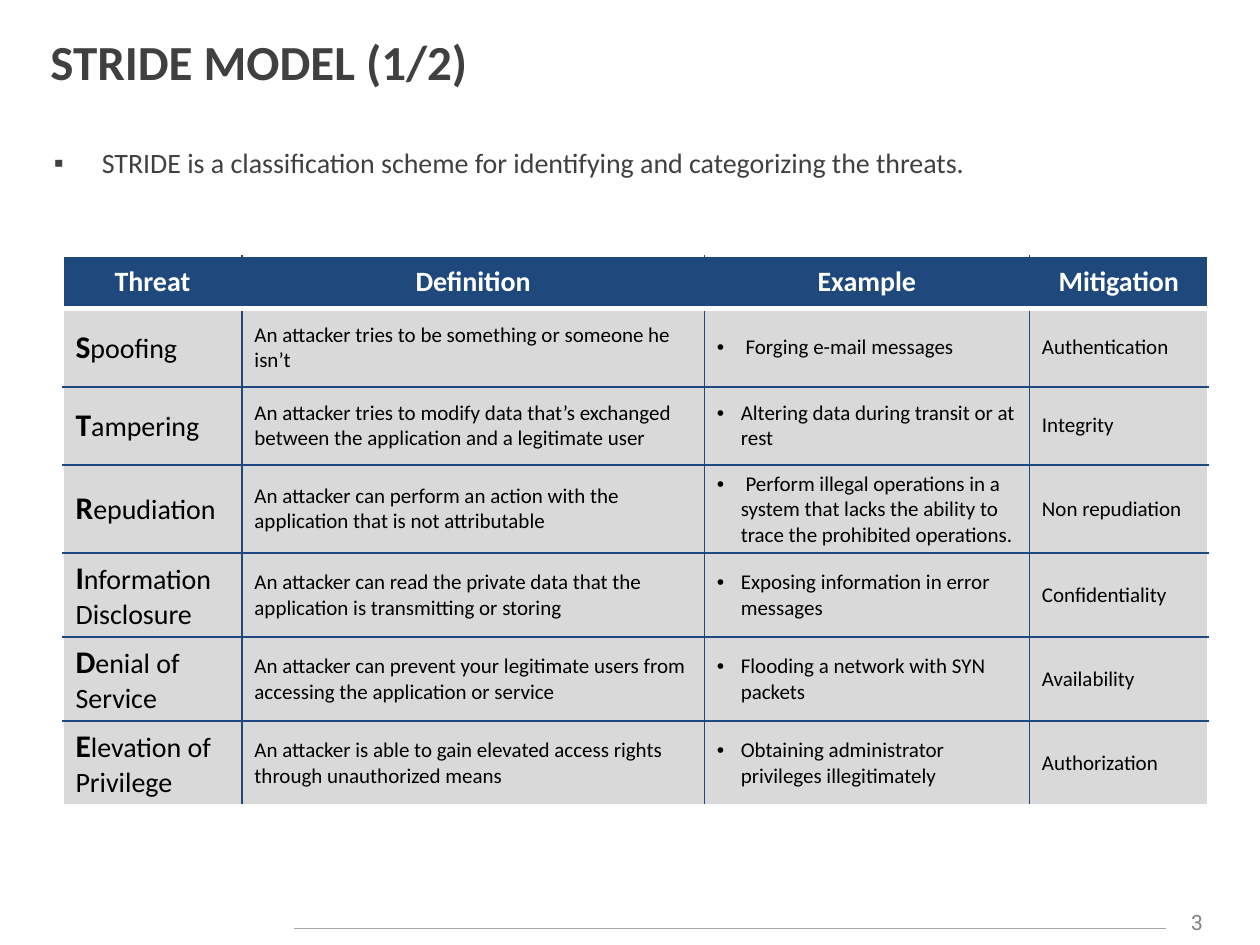
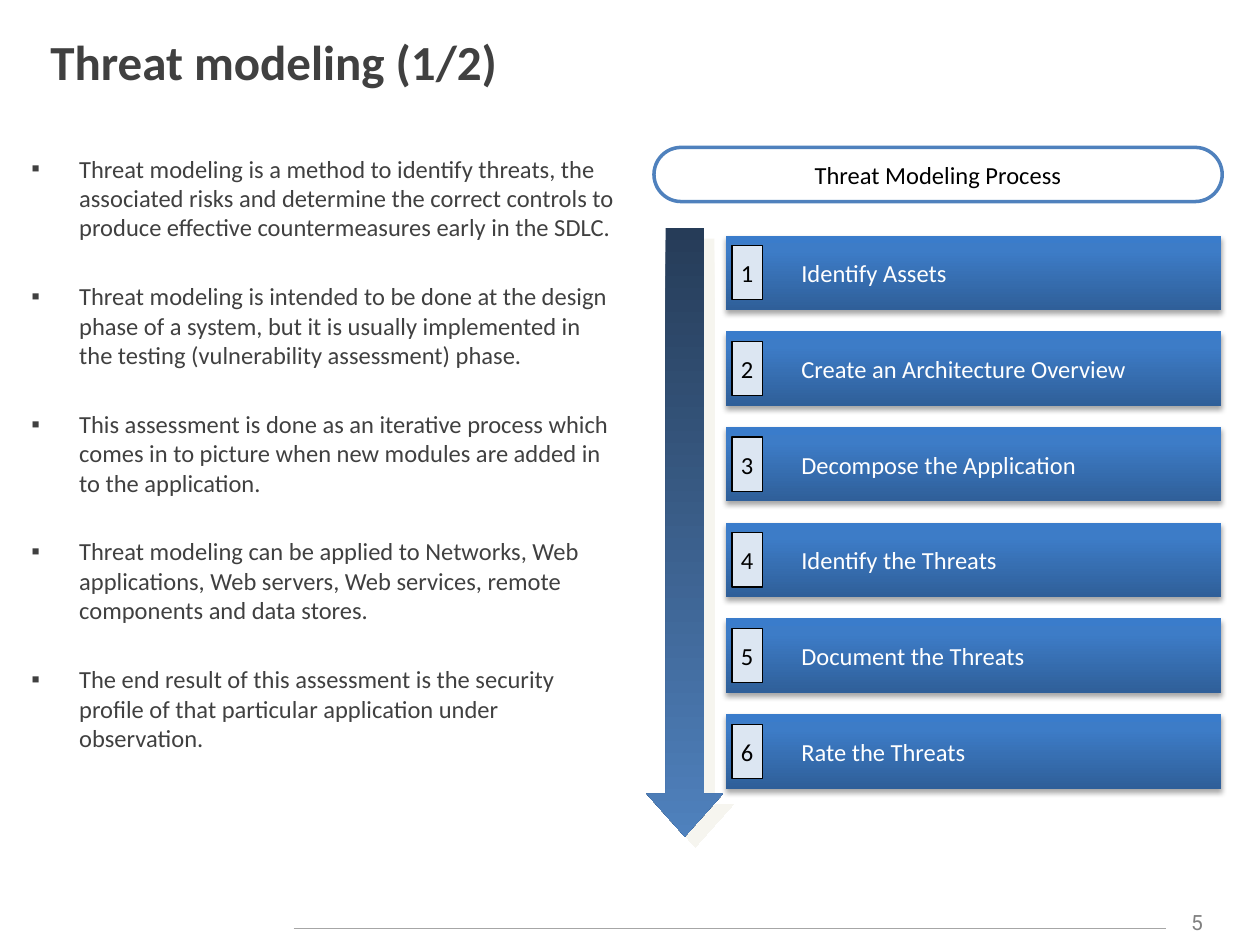
from lxml.etree import SubElement
from copy import deepcopy
from pptx import Presentation
from pptx.dml.color import RGBColor
from pptx.enum.shapes import MSO_CONNECTOR, MSO_SHAPE
from pptx.enum.text import MSO_ANCHOR, MSO_AUTO_SIZE, PP_ALIGN
from pptx.oxml import parse_xml
from pptx.oxml.ns import nsdecls, qn
from pptx.util import Inches, Pt

WIDTH, HEIGHT = Inches(10), Inches(7.5)
COLORS = {
    "text": "404040", "number": "808080", "rule": "A6A6A6",
    "navy": "1F497D", "cell": "D9D9D9", "white": "FFFFFF", "black": "000000",
    "blue": "4F81BD", "badge": "DCE6F2", "arrow_shadow": "EEECE1",
}
STEP_GRADIENT = [(0, "2F5F99"), (0.8, "3D7CC7"), (1, "3A7CCB")]
ARROW_GRADIENT = [(0, "263C58"), (1, COLORS["blue"])]

HEADERS = ["Threat", "Definition", "Example", "Mitigation"]
COLUMN_SHARES = [14.2, 36.7, 25.8, 14.2]
THREATS = [
    ("Spoofing", "An attacker tries to be something or someone he isn’t",
     " Forging e-mail messages", "Authentication"),
    ("Tampering", "An attacker tries to modify data that’s exchanged between the "
     "application and a legitimate user",
     "Altering data during transit or at rest", "Integrity"),
    ("Repudiation", "An attacker can perform an action with the application that is "
     "not attributable",
     " Perform illegal operations in a system that lacks the ability to trace the "
     "prohibited operations.", "Non repudiation"),
    ("Information Disclosure", "An attacker can read the private data that the "
     "application is transmitting or storing",
     "Exposing information in error messages", "Confidentiality"),
    ("Denial of Service", "An attacker can prevent your legitimate users from "
     "accessing the application or service",
     "Flooding a network with SYN packets", "Availability"),
    ("Elevation of Privilege", "An attacker is able to gain elevated access rights "
     "through unauthorized means",
     "Obtaining administrator privileges illegitimately", "Authorization"),
]
MODELING_POINTS = [
    "Threat modeling is a method to identify threats, the associated risks and "
    "determine the correct controls to produce effective countermeasures early in "
    "the SDLC.",
    "Threat modeling is intended to be done at the design phase of a system, but it "
    "is usually implemented in the testing (vulnerability assessment) phase.",
    "This assessment is done as an iterative process which comes in to picture when "
    "new modules are added in to the application.",
    "Threat modeling can be applied to Networks, Web applications, Web servers, Web "
    "services, remote components and data stores.",
    "The end result of this assessment is the security profile of that particular "
    "application under observation.",
]
STEPS = ["Identify Assets", "Create an Architecture Overview",
         "Decompose the Application", "Identify the Threats",
         "Document the Threats", "Rate the Threats"]


def share(x, y, *size):
    """Turn percentages of the slide's width and height into lengths."""
    return [int(v * side / 100)
            for v, side in zip((x, y, *size), (WIDTH, HEIGHT) * 2)]


def rgb(name):
    return RGBColor.from_string(COLORS[name])


def apply(obj, **values):
    for name, value in values.items():
        setattr(obj, name, value)


def write(p, text, size, color="text", bold=False, font="Calibri", align=None):
    r = p.add_run()
    r.text = text
    apply(r.font, name=font, size=Pt(size), bold=bold)
    r.font.color.rgb = rgb(color)
    if align is not None:
        p.alignment = align


def bullet(p, char, indent):
    pPr = p._p.get_or_add_pPr()
    pPr.set("marL", str(Inches(indent)))
    pPr.set("indent", str(-Inches(indent)))
    SubElement(pPr, qn("a:buFont"), typeface="Arial")
    SubElement(pPr, qn("a:buChar"), char=char)


def new_slide(prs, title, number):
    s = prs.slides.add_slide(prs.slide_layouts[5])
    sp = s.shapes.title
    sp.left, sp.top, sp.width, sp.height = share(3, 2.27, 93.6, 8.4)
    apply(sp.text_frame, vertical_anchor=MSO_ANCHOR.MIDDLE,
          auto_size=MSO_AUTO_SIZE.NONE)
    write(sp.text_frame.paragraphs[0], title, 28, bold=True, align=PP_ALIGN.LEFT)

    rule = s.shapes.add_connector(MSO_CONNECTOR.STRAIGHT,
                                  *share(23.3, 98.27), *share(92.5, 98.27))
    rule.line.color.rgb = rgb("rule")
    rule.line.width = Pt(0.75)
    SubElement(rule._element.spPr, qn("a:effectLst"))

    tf = s.shapes.add_textbox(*share(92.5, 95.6, 5, 4)).text_frame
    tf.word_wrap = True
    write(tf.paragraphs[0], number, 12, "number", font="Roboto",
          align=PP_ALIGN.CENTER)
    return s


def add_bullets(s, box, points, size, align=PP_ALIGN.LEFT):
    tf = s.shapes.add_textbox(*share(*box)).text_frame
    tf.word_wrap = True
    for i, point in enumerate(points):
        p = tf.add_paragraph() if i else tf.paragraphs[0]
        write(p, point, size, align=align)
        p.space_after = Pt(22.5)
        bullet(p, "▪", 0.38)


def set_borders(cell, **sides):
    """Draw L, R, T and B borders, each given as (colour name, points)."""
    tcPr = cell._tc.get_or_add_tcPr()
    for i, side in enumerate("LRTB"):
        color, width = sides[side]
        tcPr.insert(i, parse_xml(
            f'<a:ln{side} {nsdecls("a")} w="{Pt(width)}"><a:solidFill>'
            f'<a:srgbClr val="{COLORS[color]}"/></a:solidFill></a:ln{side}>'))


def fill_threat_cell(p, text, column):
    if column == 0:
        write(p, text[0], 18, "black", bold=True)
        write(p, text[1:], 16, "black")
        return
    write(p, text, 12, "black")
    if column == 2:
        bullet(p, "•", 0.19)


def add_threat_table(s):
    rows, cols = len(THREATS) + 1, len(HEADERS)
    table = s.shapes.add_table(
        rows, cols, *share(5, 27.07, sum(COLUMN_SHARES), 55.2)).table
    apply(table, first_row=False, horz_banding=False)
    for column, width in zip(table.columns, COLUMN_SHARES):
        column.width = share(width, 0)[0]
    for i, row in enumerate(table.rows):
        row.height = Inches(0.62 if i else 0.42)

    edge, inner, header_rule = ("white", 1), ("navy", 1), ("white", 3)
    for i, values in enumerate([HEADERS, *THREATS]):
        for j, text in enumerate(values):
            cell = table.cell(i, j)
            cell.vertical_anchor = MSO_ANCHOR.MIDDLE
            cell.fill.solid()
            cell.fill.fore_color.rgb = rgb("cell" if i else "navy")
            p = cell.text_frame.paragraphs[0]
            if i:
                fill_threat_cell(p, text, j)
            else:
                write(p, text, 16, "white", bold=True, align=PP_ALIGN.CENTER)
            set_borders(
                cell,
                L=inner if j else edge,
                R=inner if j < cols - 1 else edge,
                T=(edge, header_rule)[i] if i < 2 else inner,
                B=header_rule if i == 0 else inner if i < rows - 1 else edge)


def add_block(s, preset, box, fill=None, line=None, width=0.75, adjust=()):
    sp = s.shapes.add_shape(preset, *share(*box))
    sp.shadow.inherit = False
    for i, value in enumerate(adjust):
        sp.adjustments[i] = value
    if fill:
        sp.fill.solid()
        sp.fill.fore_color.rgb = rgb(fill)
    if line:
        sp.line.color.rgb = rgb(line)
        sp.line.width = Pt(width)
    else:
        sp.line.fill.background()
    return sp


def label(sp, text, color, align=PP_ALIGN.CENTER, left=0.1):
    apply(sp.text_frame, word_wrap=False, vertical_anchor=MSO_ANCHOR.MIDDLE,
          margin_left=Inches(left))
    write(sp.text_frame.paragraphs[0], text, 14, color, align=align)


def set_gradient(sp, stops, angle):
    """Fill with (position, hex) stops; the angle runs counter-clockwise."""
    sp.fill.gradient()
    sp.fill.gradient_angle = angle
    gsLst = sp._element.spPr.find(".//" + qn("a:gsLst"))
    while len(gsLst) < len(stops):
        gsLst.append(deepcopy(gsLst[-1]))
    for stop, (position, color) in zip(sp.fill.gradient_stops, stops):
        stop.position = position
        stop.color.rgb = RGBColor.from_string(color)


def set_shadow(sp, color, opacity, blur, distance, angle):
    shadow = SubElement(
        sp._element.spPr.find(qn("a:effectLst")), qn("a:outerShdw"),
        blurRad=str(Pt(blur)), dist=str(Pt(distance)), dir=str(angle * 60000),
        algn="ctr", rotWithShape="0")
    clr = SubElement(shadow, qn("a:srgbClr"), val=COLORS[color])
    SubElement(clr, qn("a:alpha"), val=str(opacity * 1000))


def add_step(s, index, text):
    top, height, badge_height = 24.93 + index * 10.13, 7.87, 5.73
    bar = add_block(s, MSO_SHAPE.RECTANGLE, (57.6, top, 39.3, height))
    set_gradient(bar, STEP_GRADIENT, 90)
    set_shadow(bar, "black", 35, 3.1, 1.8, 90)
    label(bar, text, "white", PP_ALIGN.LEFT, left=0.6)
    badge = add_block(
        s, MSO_SHAPE.RECTANGLE,
        (58.1, top + (height - badge_height) / 2, 2.4, badge_height),
        "badge", "black")
    label(badge, str(index + 1), "black")


def add_process(s):
    for i, step in enumerate(STEPS):
        add_step(s, i, step)
    heading = add_block(s, MSO_SHAPE.ROUNDED_RECTANGLE, (51.9, 15.6, 45.1, 5.73),
                        "white", "blue", 2, [0.5])
    label(heading, "Threat Modeling Process", "black")
    arrow = add_block(s, MSO_SHAPE.DOWN_ARROW, (51.3, 24.13, 6.1, 64.4),
                      adjust=[0.5, 0.56])
    set_gradient(arrow, ARROW_GRADIENT, 270)
    set_shadow(arrow, "arrow_shadow", 50, 0, 8.5, 45)


def main():
    prs = Presentation()
    prs.slide_width, prs.slide_height = WIDTH, HEIGHT

    s = new_slide(prs, "STRIDE MODEL (1/2)", "3")
    add_bullets(s, (3.3, 14.8, 93.3, 8),
                ["STRIDE is a classification scheme for identifying and "
                 "categorizing the threats."], 16, PP_ALIGN.JUSTIFY)
    add_threat_table(s)

    s = new_slide(prs, "Threat modeling (1/2)", "5")
    add_bullets(s, (1.5, 15.6, 48.5, 74.13), MODELING_POINTS, 14)
    add_process(s)

    prs.save("out.pptx")


if __name__ == "__main__":
    main()
